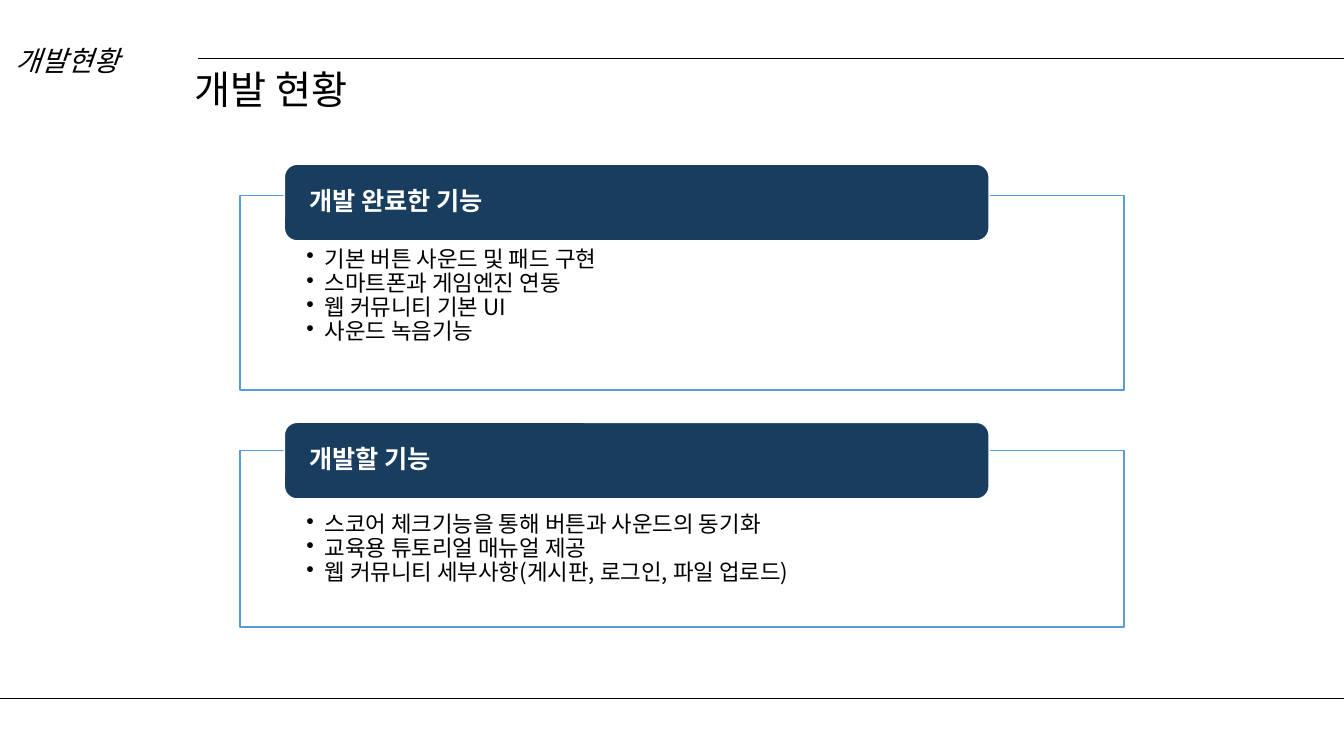
from dataclasses import dataclass

from pptx import Presentation
from pptx.dml.color import RGBColor
from pptx.enum.shapes import MSO_CONNECTOR, MSO_SHAPE
from pptx.enum.text import MSO_ANCHOR, PP_ALIGN
from pptx.oxml.ns import qn
from pptx.util import Inches, Pt
from lxml.etree import SubElement


@dataclass(frozen=True)
class Theme:
    """Colours, font and type sizes of the deck."""
    font: str = "Noto Sans CJK KR"
    ink: str = "000000"
    paper: str = "FFFFFF"
    navy: str = "183D5E"
    border: str = "5B9BD5"
    title: int = 28
    section: int = 20
    heading: int = 18
    body: int = 16


T = Theme()
SLIDE_W, SLIDE_H = 13.33, 7.5

PANELS = [
    dict(box=(2.38, 1.94, 8.77, 1.93), rise=0.31, gap=0.52,
         heading="개발 완료한 기능",
         items=["기본 버튼 사운드 및 패드 구현", "스마트폰과 게임엔진 연동",
                "웹 커뮤니티 기본 UI", "사운드 녹음기능"]),
    dict(box=(2.38, 4.47, 8.77, 1.75), rise=0.28, gap=0.62,
         heading="개발할 기능",
         items=["스코어 체크기능을 통해 버튼과 사운드의 동기화",
                "교육용 튜토리얼 매뉴얼 제공",
                "웹 커뮤니티 세부사항(게시판, 로그인, 파일 업로드)"]),
]


def rgb(code):
    """Turn a hex code into a colour."""
    return RGBColor.from_string(code)


def add_run(p, text, size, color=T.ink, bold=False, italic=False):
    """Add one formatted run to a paragraph."""
    r = p.add_run()
    r.text = text
    f = r.font
    f.name, f.size, f.bold, f.italic = T.font, Pt(size), bold, italic
    f.color.rgb = rgb(color)
    SubElement(r._r.get_or_add_rPr(), qn("a:ea"), typeface=T.font)


def add_bullet(p, indent):
    """Give a paragraph a round bullet with a hanging indent."""
    pPr = p._p.get_or_add_pPr()
    pPr.set("marL", str(Inches(indent)))
    pPr.set("indent", str(-Inches(indent)))
    SubElement(pPr, qn("a:buChar"), char="•")


def set_frame(tf, anchor, left, top=0, bottom=0):
    """Set the wrapping, anchor and margins of a text frame."""
    tf.word_wrap = True
    tf.vertical_anchor = anchor
    tf.margin_left = tf.margin_right = Inches(left)
    tf.margin_top, tf.margin_bottom = Inches(top), Inches(bottom)


def add_box(s, kind, box, fill, line):
    """Add a filled and outlined shape."""
    sp = s.shapes.add_shape(kind, *map(Inches, box))
    sp.shadow.inherit = False
    sp.fill.solid()
    sp.fill.fore_color.rgb = rgb(fill)
    sp.line.color.rgb = rgb(line)
    sp.line.width = Pt(1)
    return sp


def add_label(s, box, text, size, italic=False):
    """Add a one-line text box."""
    tf = s.shapes.add_textbox(*map(Inches, box)).text_frame
    tf.word_wrap = True
    add_run(tf.paragraphs[0], text, size, italic=italic)


def add_rule(s, left, y):
    """Draw a thin rule from left to the slide edge."""
    ends = map(Inches, (left, y, SLIDE_W, y))
    line = s.shapes.add_connector(MSO_CONNECTOR.STRAIGHT, *ends)
    line.line.color.rgb = rgb(T.ink)
    line.line.width = Pt(0.5)
    SubElement(line._element.spPr, qn("a:effectLst"))


def add_panel(s, box, rise, gap, heading, items):
    """Place a bulleted frame with a heading tab over its top edge."""
    x, y, w, _ = box
    frame = add_box(s, MSO_SHAPE.RECTANGLE, box, T.paper, T.border)
    fill = frame._element.spPr.find(qn("a:solidFill"))
    SubElement(fill[0], qn("a:alpha"), val="90000")
    tf = frame.text_frame
    set_frame(tf, MSO_ANCHOR.TOP, 0.66, gap, 0.11)
    for i, item in enumerate(items):
        p = tf.add_paragraph() if i else tf.paragraphs[0]
        p.alignment, p.line_spacing = PP_ALIGN.LEFT, 0.9
        add_bullet(p, 0.18)
        add_run(p, item, T.body)

    tab_box = (x + 0.44, y - rise, w - 1.78, 0.76)
    tab = add_box(s, MSO_SHAPE.ROUNDED_RECTANGLE, tab_box, T.navy, T.paper)
    set_frame(tab.text_frame, MSO_ANCHOR.MIDDLE, 0.21)
    p = tab.text_frame.paragraphs[0]
    p.alignment, p.line_spacing = PP_ALIGN.LEFT, 0.9
    add_run(p, heading, T.heading, T.paper, bold=True)


def add_header(s, box):
    """Place the section name, the title and the rule above it."""
    x, y, w, _ = box
    add_rule(s, x + 1.96, y + 0.58)
    add_label(s, (x + 0.06, y + 0.38, 2.98, 0.44), "개발현황", T.section, italic=True)
    add_label(s, (x + 1.83, y + 0.6, w - 2.93, 0.57), "개발 현황", T.title)


def main():
    """Build and save the slide."""
    prs = Presentation()
    prs.slide_width, prs.slide_height = Inches(SLIDE_W), Inches(SLIDE_H)
    s = prs.slides.add_slide(prs.slide_layouts[6])
    add_header(s, (0, 0, SLIDE_W, 1.2))
    add_rule(s, 0, 6.93)
    for panel in PANELS:
        add_panel(s, **panel)
    prs.save("out.pptx")


if __name__ == "__main__":
    main()
